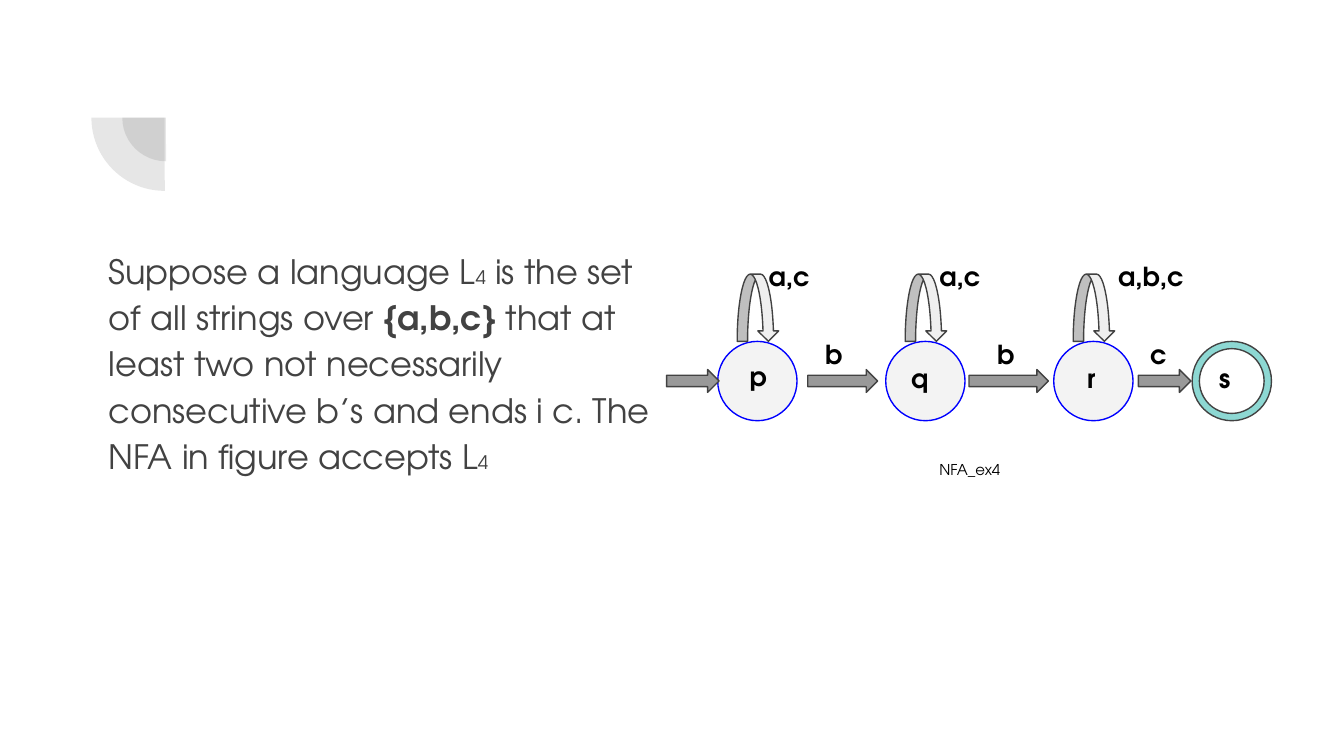
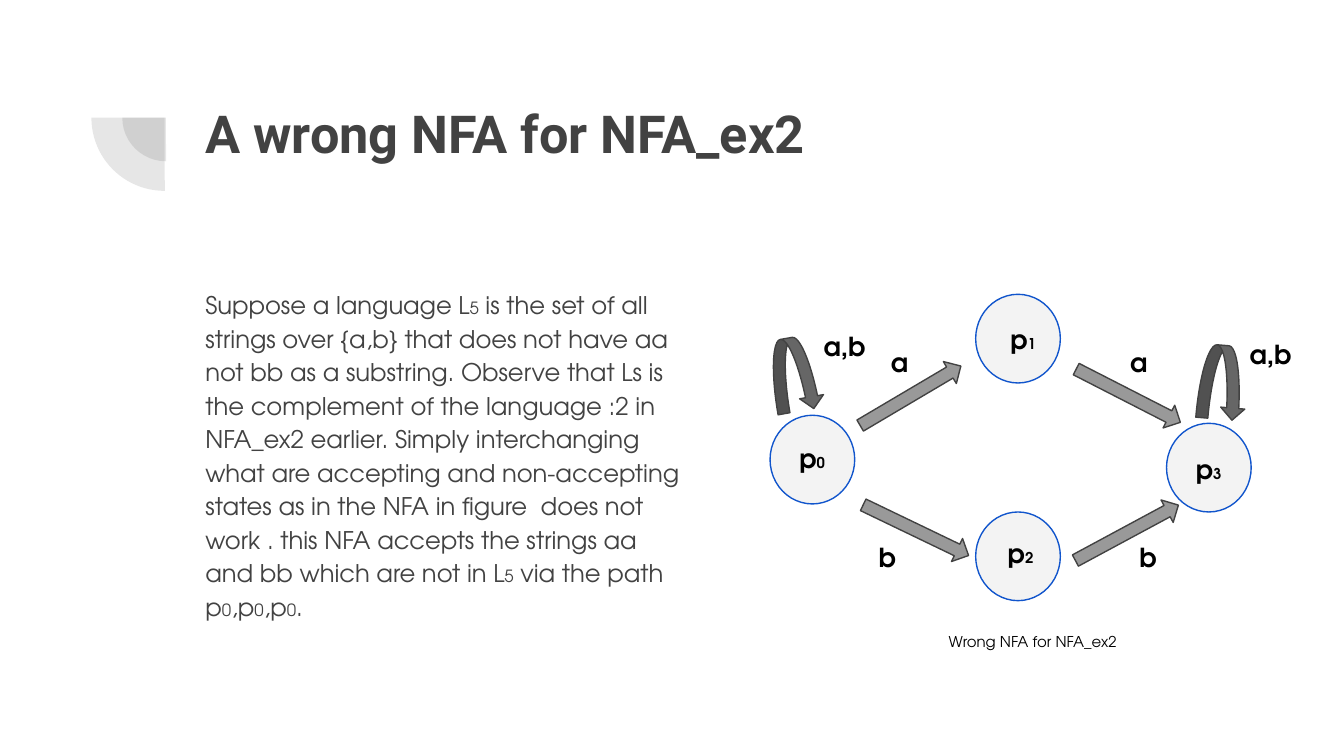
"""Builds two slides that show nondeterministic finite automata."""
import lxml.etree
import pptx
import pptx.dml.color
import pptx.enum.shapes
import pptx.enum.text
import pptx.oxml.ns
import pptx.util

RGBColor = pptx.dml.color.RGBColor
Shapes = pptx.enum.shapes.MSO_SHAPE

INK = RGBColor(0x42, 0x42, 0x42)
BLACK = RGBColor(0x00, 0x00, 0x00)
STATE_FILL = RGBColor(0xF3, 0xF3, 0xF3)
CHAIN_OUTLINE = RGBColor(0x00, 0x00, 0xFF)
DIAMOND_OUTLINE = RGBColor(0x11, 0x55, 0xCC)
ACCEPT_FILL = RGBColor(0x8D, 0xD8, 0xD3)
ARROW_FILL = RGBColor(0x99, 0x99, 0x99)
LIGHT_LOOP = RGBColor(0xEF, 0xEF, 0xEF)
DARK_LOOP = RGBColor(0x66, 0x66, 0x66)

TITLE_FONT, TEXT_FONT = "Roboto", "TeX Gyre Adventor"
LABEL_SIZE, SUBSCRIPT_SIZE, CAPTION_SIZE = 14, 8, 8
SLIDE_WIDTH, SLIDE_HEIGHT = pptx.util.Inches(10), pptx.util.Inches(5.625)
GRID = SLIDE_WIDTH / 100
CORNER_PIES = [(9.1, 5.5, 6.5), (6.8, 3.3, 10.9)]

CHAIN_TEXT = [
    ("Suppose a language L", 18, False), ("4", 10, False),
    (" is the set of all strings over ", 18, False), ("{a,b,c}", 18, True),
    (" that at least two not necessarily consecutive b’s and ends i c. "
     "The NFA in figure accepts L", 18, False), ("4", 10, False),
]
CHAIN_TOP, CHAIN_SIZE, CHAIN_STEP, CHAIN_START = 25.4, 5.9, 12.5, 53.4
LOOPED_STATES, ACCEPT_LEFT = 3, 88.7
CHAIN_ARROWS = [(49.6, 3.9), (60.1, 5.2), (72.1, 5.9), (84.7, 3.9)]
CHAIN_LABELS = [
    ("p", 54.8, 25.8, 3.9), ("q", 66.8, 26, 3.9), ("r", 79.9, 26, 3.9), ("s", 89.7, 26, 3.9),
    ("a,c", 56.2, 18.4, 5.9), ("a,c", 68.9, 18.4, 5.9), ("a,b,c", 82.2, 18.4, 8.2),
    ("b", 60.4, 24.2, 3.9), ("b", 73.2, 24.2, 3.9), ("c", 84.6, 24.2, 3.9),
]

DIAMOND_TITLE = "A wrong NFA for NFA_ex2"
DIAMOND_TEXT = [
    ("Suppose a language L", 13, False), ("5", 9, False),
    (" is the set of all strings over {a,b} that does not have aa not bb as a substring. "
     "Observe that Ls is the complement of the language :2 in NFA_ex2 earlier. "
     "Simply interchanging what are accepting and non-accepting states as in the NFA "
     "in figure  does not work . this NFA accepts the strings aa and bb which are not in L",
     13, False),
    ("5", 9, False), (" via the path p", 13, False), ("0", 9, False),
    (",p", 13, False), ("0", 9, False), (",p", 13, False), ("0", 9, False), (".", 13, False),
]
DIAMOND_STATES = [
    ("0", (57.3, 30.9), (58.5, 31.9)), ("1", (72.6, 21.9), (74.2, 23.1)),
    ("2", (72.6, 38.1), (74, 39)), ("3", (86.8, 31.5), (88, 32.7)),
]
DIAMOND_ARROWS = [(63.4, 28.5, 329.4), (79.6, 28.5, 27.1), (63.8, 38.5, 25.7), (79.5, 38.7, 331.7)]
DIAMOND_LOOPS = [(57.4, 25.1, 350.1), (89.2, 25.7, 4.8)]
DIAMOND_LABELS = [
    ("a,b", 60.3, 23.6, 5.7), ("a,b", 92, 24.2, 5.7),
    ("a", 65.3, 24.8, 4.3), ("a", 83.1, 24.8, 4.3),
    ("b", 64.4, 39.3, 4.3), ("b", 83.8, 39.3, 4.3),
]


def on_grid(*cells):
    """Turns grid cells into slide lengths."""
    return [pptx.util.Emu(round(cell * GRID)) for cell in cells]


def add_figure(slide, kind, box, fill, outline=INK, rotation=0, adjustments=()):
    """Adds a filled preset shape, without a line when outline is None."""
    shape = slide.shapes.add_shape(kind, *on_grid(*box))
    shape.shadow.inherit = False
    shape.rotation = rotation
    for index, value in enumerate(adjustments):
        shape.adjustments[index] = value
    shape.fill.solid()
    shape.fill.fore_color.rgb = fill
    if outline is None:
        shape.line.fill.background()
    else:
        shape.line.color.rgb = outline
        shape.line.width = pptx.util.Pt(0.75)
    return shape


def add_text(slide, box, runs, color=BLACK, font=TEXT_FONT, line_spacing=None):
    """Adds a text box from (text, size, bold) runs."""
    text_frame = slide.shapes.add_textbox(*on_grid(*box)).text_frame
    text_frame.word_wrap = True
    text_frame.vertical_anchor = pptx.enum.text.MSO_ANCHOR.TOP
    text_frame.margin_left, text_frame.margin_top, text_frame.margin_right, \
        text_frame.margin_bottom = on_grid(1, 1, 1, 1)
    paragraph = text_frame.paragraphs[0]
    paragraph.line_spacing = line_spacing
    for text, size, bold in runs:
        run = paragraph.add_run()
        run.text = text
        run.font.name = font
        run.font.size = pptx.util.Pt(size)
        run.font.bold = bold
        run.font.color.rgb = color


def add_labels(slide, labels, height):
    """Adds the bold labels of a diagram."""
    for text, left, top, width in labels:
        add_text(slide, (left, top, width, height), [(text, LABEL_SIZE, True)])


def add_base_slide(presentation):
    """Adds a blank slide with the corner ornament."""
    slide = presentation.slides.add_slide(presentation.slide_layouts[6])
    for left, top, size in CORNER_PIES:
        pie = add_figure(slide, Shapes.PIE, (left, top, size, size), INK, None, 270, (107.928, 162))
        color = pie.fill._xPr.find(".//" + pptx.oxml.ns.qn("a:srgbClr"))
        lxml.etree.SubElement(color, pptx.oxml.ns.qn("a:alpha"), val="13000")
    return slide


def build_chain(presentation):
    """Draws the automaton whose states stand in a row."""
    slide = add_base_slide(presentation)
    add_text(slide, (7.1, 17.2, 42.9, 29.3), CHAIN_TEXT, INK, line_spacing=1.15)
    for index in range(LOOPED_STATES):
        left = CHAIN_START + index * CHAIN_STEP
        add_figure(slide, Shapes.OVAL, (left, CHAIN_TOP, CHAIN_SIZE, CHAIN_SIZE),
                   STATE_FILL, CHAIN_OUTLINE)
        add_figure(slide, Shapes.CURVED_DOWN_ARROW, (left + 1.45, CHAIN_TOP - 5, 3.1, 5),
                   LIGHT_LOOP, adjustments=(0.25, 0.5, 0.25))
    add_figure(slide, Shapes.DONUT, (ACCEPT_LEFT, CHAIN_TOP, CHAIN_SIZE, CHAIN_SIZE),
               ACCEPT_FILL, adjustments=(0.092,))
    for left, width in CHAIN_ARROWS:
        add_figure(slide, Shapes.RIGHT_ARROW, (left, 27.5, width, 1.7), ARROW_FILL)
    add_labels(slide, CHAIN_LABELS, 5)
    add_text(slide, (68.9, 33.6, 8.2, 3.4), [("NFA_ex4", CAPTION_SIZE, False)])


def build_diamond(presentation):
    """Draws the automaton whose states form a diamond."""
    slide = add_base_slide(presentation)
    add_text(slide, (14.3, 6.5, 76.9, 10.9), [(DIAMOND_TITLE, 28, True)], INK, TITLE_FONT)
    add_text(slide, (14.3, 20.3, 37.7, 29.3), DIAMOND_TEXT, INK, line_spacing=1.15)
    for subscript, corner, label_corner in DIAMOND_STATES:
        add_figure(slide, Shapes.OVAL, (*corner, 6.3, 6.6), STATE_FILL, DIAMOND_OUTLINE)
        add_text(slide, (*label_corner, 4.3, 4),
                 [("p", LABEL_SIZE, True), (subscript, SUBSCRIPT_SIZE, True)])
    for left, top, rotation in DIAMOND_ARROWS:
        add_figure(slide, Shapes.RIGHT_ARROW, (left, top, 8.7, 1.9), ARROW_FILL, rotation=rotation)
    for left, top, rotation in DIAMOND_LOOPS:
        add_figure(slide, Shapes.CURVED_DOWN_ARROW, (left, top, 3.6, 5.5), DARK_LOOP,
                   rotation=rotation, adjustments=(0.25, 0.5, 0.25))
    add_labels(slide, DIAMOND_LABELS, 3.4)
    add_text(slide, (69.6, 46.4, 17, 3.4), [("Wrong NFA for NFA_ex2", CAPTION_SIZE, False)])


def main():
    """Builds and saves the presentation."""
    presentation = pptx.Presentation()
    presentation.slide_width, presentation.slide_height = SLIDE_WIDTH, SLIDE_HEIGHT
    build_chain(presentation)
    build_diamond(presentation)
    presentation.save("out.pptx")


if __name__ == "__main__":
    main()
